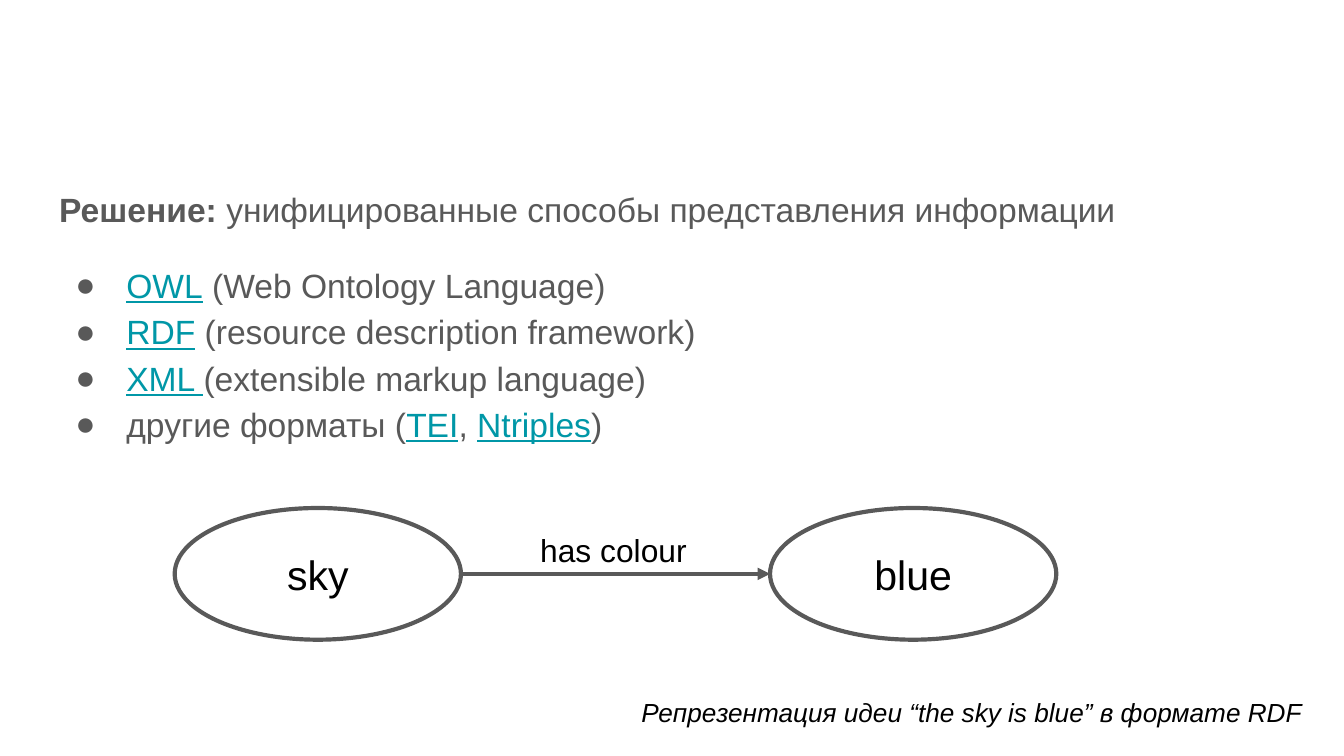
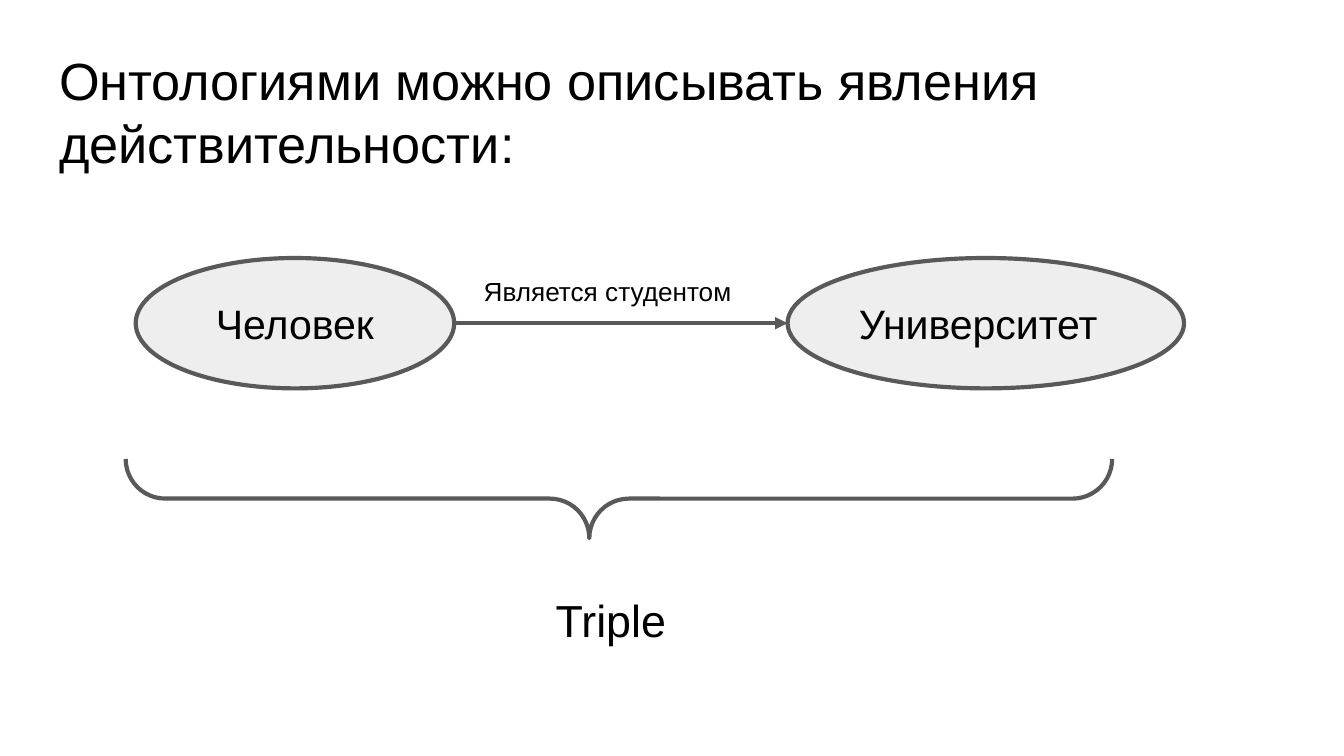
from lxml.etree import SubElement
from pptx import Presentation
from pptx.dml.color import RGBColor
from pptx.enum.shapes import MSO_CONNECTOR, MSO_SHAPE
from pptx.enum.text import MSO_ANCHOR, MSO_AUTO_SIZE, PP_ALIGN
from pptx.oxml.ns import qn
from pptx.util import Inches, Pt

BLACK = RGBColor(0x00, 0x00, 0x00)
WHITE = RGBColor(0xFF, 0xFF, 0xFF)
PALE_GRAY = RGBColor(0xEE, 0xEE, 0xEE)
GRAY = RGBColor(0x59, 0x59, 0x59)
TEAL = RGBColor(0x00, 0x97, 0xA7)
FONT = "Arial"
LINE_WIDTH = Pt(2.25)


def prepare_frame(frame, anchor=MSO_ANCHOR.TOP):
    frame.word_wrap = True
    frame.auto_size = MSO_AUTO_SIZE.NONE
    frame.vertical_anchor = anchor
    frame.margin_left = frame.margin_right = Inches(0.1)
    frame.margin_top = frame.margin_bottom = Inches(0.1)
    return frame.paragraphs[0]


def add_span(para, text, size, color=BLACK, bold=False, italic=False, underline=False):
    span = para.add_run()
    span.text = text
    font = span.font
    font.name, font.size = FONT, Pt(size)
    font.bold, font.italic, font.underline = bold, italic, underline
    font.color.rgb = color


# Widescreen deck, 16:9
deck = Presentation()
deck.slide_width = Inches(10)
deck.slide_height = Inches(10 * 9 / 16)

# Slide 1: formats, with a body and no title
formats_page = deck.slides.add_slide(deck.slide_layouts[1])
unused_title = formats_page.shapes.title.element
unused_title.getparent().remove(unused_title)
body = formats_page.placeholders[1]
body.left, body.top = Inches(0.34), Inches(1.26)
body.width, body.height = Inches(9.32), Inches(3.74)

# Each line is a list of (text, style) spans
solution_lines = [
    [("Решение: ", "bold"), ("унифицированные способы представления информации", "")],
    [("OWL", "term"), (" (Web Ontology Language)", "")],
    [("RDF", "term"), (" (resource description framework)", "")],
    [("XML ", "term"), ("(extensible markup language)", "")],
    [("другие форматы (", ""), ("TEI", "term"), (", ", ""), ("Ntriples", "term"), (")", "")],
]
para = prepare_frame(body.text_frame)
for index, spans in enumerate(solution_lines):
    if index > 0:
        para = body.text_frame.add_paragraph()
    para.line_spacing = 1.15
    para.space_before = Pt(16 if index == 1 else 0)
    para.space_after = Pt(0)
    para.alignment = PP_ALIGN.LEFT
    properties = para._p.get_or_add_pPr()
    properties.set("marL", str(Inches(0.5 if index else 0)))
    properties.set("indent", str(Inches(-0.38 if index else 0)))
    if index == 0:
        SubElement(properties, qn("a:buNone"))
    else:
        bullet_color = SubElement(properties, qn("a:buClr"))
        SubElement(bullet_color, qn("a:srgbClr")).set("val", str(GRAY))
        SubElement(properties, qn("a:buFont")).set("typeface", FONT)
        SubElement(properties, qn("a:buChar")).set("char", "●")
    for text, style in spans:
        is_term = style == "term"
        add_span(para, text, 18, TEAL if is_term else GRAY,
                 bold=style == "bold", underline=is_term)

# Slide 2: title and triple
triple_page = deck.slides.add_slide(deck.slide_layouts[5])
title = triple_page.shapes.title
title.left, title.top = Inches(0.34), Inches(0.26)
title.width, title.height = Inches(9.32), Inches(1.13)
para = prepare_frame(title.text_frame)
para.alignment = PP_ALIGN.LEFT
add_span(para, "Онтологиями можно описывать явления действительности:", 28)

# Subject and object ellipses, joined by an arrow: (text, left, width, alignment)
graphs = [
    (formats_page, WHITE, 3.78, 0.98,
     [("sky", 1.3, 2.13, PP_ALIGN.CENTER), ("blue", 5.73, 2.13, PP_ALIGN.CENTER)]),
    (triple_page, PALE_GRAY, 1.92, 0.97,
     [("Человек", 1.01, 2.37, PP_ALIGN.CENTER), ("Университет", 5.86, 2.95, PP_ALIGN.LEFT)]),
]
for page, fill, top, height, nodes in graphs:
    for text, left, width, alignment in nodes:
        node = page.shapes.add_shape(MSO_SHAPE.OVAL, Inches(left), Inches(top),
                                     Inches(width), Inches(height))
        node.shadow.inherit = False
        node.fill.solid()
        node.fill.fore_color.rgb = fill
        node.line.color.rgb = GRAY
        node.line.width = LINE_WIDTH
        para = prepare_frame(node.text_frame, MSO_ANCHOR.MIDDLE)
        para.alignment = alignment
        add_span(para, text, 22)

    subject, target = nodes
    middle = Inches(top + height / 2)
    arrow = page.shapes.add_connector(MSO_CONNECTOR.STRAIGHT, Inches(subject[1] + subject[2]),
                                      middle, Inches(target[1]), middle)
    arrow.line.color.rgb = GRAY
    arrow.line.width = LINE_WIDTH
    SubElement(arrow.line._get_or_add_ln(), qn("a:tailEnd")).set("type", "triangle")
    SubElement(arrow._element.spPr, qn("a:effectLst"))

# Brace under the triple
brace = triple_page.shapes.add_shape(MSO_SHAPE.RIGHT_BRACE, Inches(4.31), Inches(0.04),
                                     Inches(0.59), Inches(7.34))
brace.rotation = 90
brace.adjustments[0] = 0.5
brace.adjustments[1] = 0.53
brace.shadow.inherit = False
brace.fill.background()
brace.line.color.rgb = GRAY
brace.line.width = LINE_WIDTH

# Relation labels and captions
labels = [
    (formats_page, "has colour", 3.53, 3.85, 2.07, 0.25, 17, PP_ALIGN.CENTER, False),
    (formats_page, "Репрезентация идеи “the sky is blue” в формате RDF",
     3.01, 5.08, 6.78, 0.25, 14, PP_ALIGN.RIGHT, True),
    (triple_page, "Является студентом", 3.5, 1.99, 2.22, 0.12, 14, PP_ALIGN.LEFT, False),
    (triple_page, "Triple", 3.22, 4.31, 2.65, 0.32, 24, PP_ALIGN.CENTER, False),
]
for page, text, left, top, width, height, size, alignment, italic in labels:
    box = page.shapes.add_textbox(Inches(left), Inches(top), Inches(width), Inches(height))
    para = prepare_frame(box.text_frame)
    para.alignment = alignment
    add_span(para, text, size, italic=italic)

deck.save("out.pptx")
